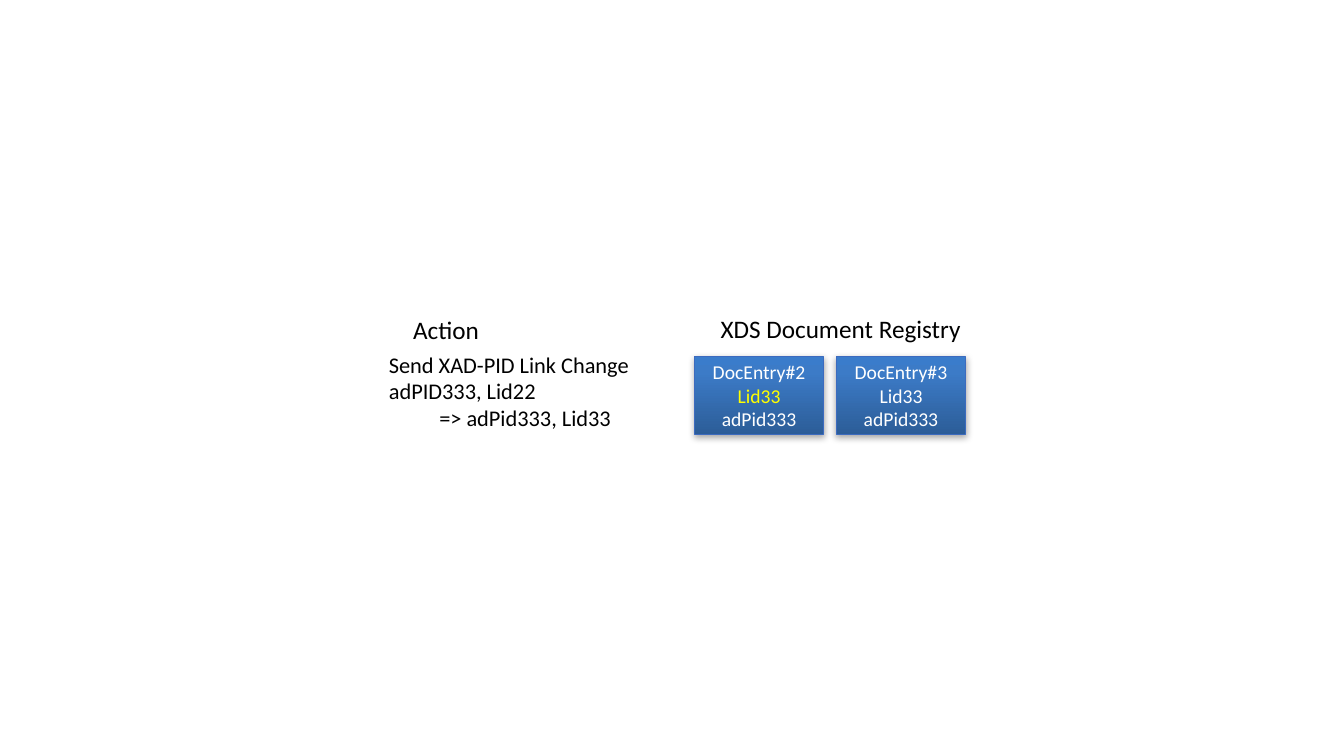
from copy import deepcopy
from dataclasses import dataclass

from lxml.etree import SubElement
from pptx import Presentation
from pptx.dml.color import RGBColor
from pptx.enum.shapes import MSO_SHAPE
from pptx.enum.text import MSO_ANCHOR, MSO_AUTO_SIZE, PP_ALIGN
from pptx.oxml.ns import qn
from pptx.util import Pt

# Text, left, top, width, height
HEADINGS = [
    ("Action", 288, 221, 61.2, 28.8),
    ("XDS Document Registry", 507.6, 220.3, 185.8, 28.8),
]
ACTION_LINES = [
    # Text, indent
    ("Send XAD-PID Link Change adPID333, Lid22", 0),
    ("=> adPid333, Lid33", 36),
]
ACTION_AREA = (270.7, 247, 220.3, 69.8)
# Lines, whether the link id is highlighted
ENTRIES = [
    (("DocEntry#2", "Lid33", "adPid333"), True),
    (("DocEntry#3", "Lid33", "adPid333"), False),
]
ENTRY_LEFT, ENTRY_TOP, ENTRY_WIDTH, ENTRY_HEIGHT = 496.1, 254.9, 92.2, 55.4
ENTRY_STEP = 101.4


@dataclass(frozen=True)
class Theme:
    font: str = "Calibri"
    heading_size: int = 18
    action_size: int = 16
    entry_size: int = 14
    ink: str = "000000"
    entry_ink: str = "FFFFFF"
    highlight: str = "FFFF00"
    outline: str = "3C6BBF"
    shadow: str = "000000"
    gradient: tuple = ((0, "2C5D98"), (0.8, "3C7BC7"), (1, "3A7CCB"))


THEME = Theme()


def points(*lengths):
    return [Pt(length) for length in lengths]


def format_runs(para, size, color):
    for span in para.runs:
        span.font.name = THEME.font
        span.font.size = Pt(size)
        span.font.color.rgb = RGBColor.from_string(color)


def add_heading(page, text, *area):
    box = page.shapes.add_textbox(*points(*area))
    frame = box.text_frame
    frame.word_wrap = False
    frame.auto_size = MSO_AUTO_SIZE.SHAPE_TO_FIT_TEXT
    frame.text = text
    format_runs(frame.paragraphs[0], THEME.heading_size, THEME.ink)


def add_action(page):
    frame = page.shapes.add_textbox(*points(*ACTION_AREA)).text_frame
    frame.word_wrap = True
    frame.text = "\n".join(text for text, indent in ACTION_LINES)
    for para, (text, indent) in zip(frame.paragraphs, ACTION_LINES):
        if indent:
            properties = para._p.get_or_add_pPr()
            properties.set("marL", "0")
            properties.set("indent", str(Pt(indent)))
        format_runs(para, THEME.action_size, THEME.ink)


def fill_gradient(shape):
    """Fill from the bottom up with the three theme stops."""
    shape.fill.gradient()
    shape.fill.gradient_angle = 90
    stop_list = shape._element.spPr.find(qn("a:gradFill")).find(qn("a:gsLst"))
    stop_list.append(deepcopy(stop_list[-1]))
    for stop, (position, color) in zip(shape.fill.gradient_stops, THEME.gradient):
        stop.position = position
        stop.color.rgb = RGBColor.from_string(color)


def add_shadow(shape):
    shape.shadow.inherit = False
    effects = shape._element.spPr.find(qn("a:effectLst"))
    outer = SubElement(effects, qn("a:outerShdw"), blurRad=str(Pt(5)),
                       dist=str(Pt(1.8)), dir="5400000", rotWithShape="0")
    color = SubElement(outer, qn("a:srgbClr"), val=THEME.shadow)
    SubElement(color, qn("a:alpha"), val="35000")


def add_entry(page, left, lines, highlighted):
    shape = page.shapes.add_shape(
        MSO_SHAPE.RECTANGLE, *points(left, ENTRY_TOP, ENTRY_WIDTH, ENTRY_HEIGHT))
    fill_gradient(shape)
    shape.line.color.rgb = RGBColor.from_string(THEME.outline)
    shape.line.width = Pt(0.75)
    add_shadow(shape)
    frame = shape.text_frame
    frame.word_wrap = True
    frame.vertical_anchor = MSO_ANCHOR.MIDDLE
    frame.text = "\n".join(lines)
    for row, para in enumerate(frame.paragraphs):
        para.alignment = PP_ALIGN.CENTER
        color = THEME.highlight if highlighted and row == 1 else THEME.entry_ink
        format_runs(para, THEME.entry_size, color)


def main():
    deck = Presentation()
    deck.slide_width, deck.slide_height = points(960, 540)
    page = deck.slides.add_slide(deck.slide_layouts.get_by_name("Blank"))
    for heading in HEADINGS:
        add_heading(page, *heading)
    add_action(page)
    for column, (lines, highlighted) in enumerate(ENTRIES):
        add_entry(page, ENTRY_LEFT + column * ENTRY_STEP, lines, highlighted)
    deck.save("out.pptx")


if __name__ == "__main__":
    main()
